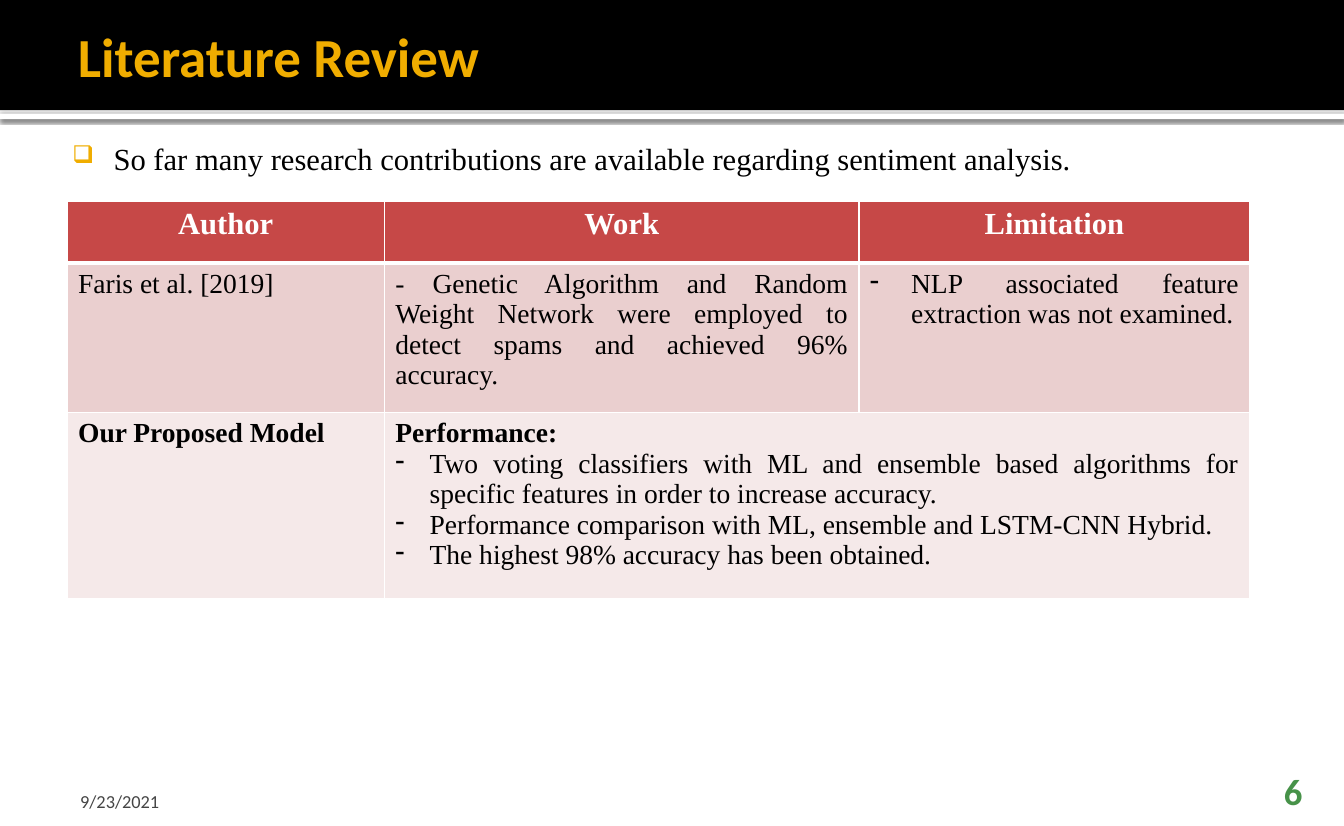
from lxml import etree
from pptx import Presentation
from pptx import util as u
from pptx.dml.color import RGBColor
from pptx.enum import shapes, text
from pptx.oxml import ns

BLACK = RGBColor(0x00, 0x00, 0x00)
WHITE = RGBColor(0xFF, 0xFF, 0xFF)
AMBER = RGBColor(0xF0, 0xAD, 0x00)
GREY = RGBColor(0x45, 0x45, 0x45)
GREEN = RGBColor(0x47, 0x92, 0x49)
RED = RGBColor(0xC6, 0x48, 0x47)
PINK = RGBColor(0xEA, 0xCF, 0xCF)
PALE = RGBColor(0xF5, 0xE9, 0xE9)

SANS, SERIF = "Calibri", "Times New Roman"
LEFT, CENTER, RIGHT, JUSTIFY = (
    text.PP_ALIGN.LEFT, text.PP_ALIGN.CENTER, text.PP_ALIGN.RIGHT, text.PP_ALIGN.JUSTIFY)
TOP, MIDDLE, BOTTOM = (
    text.MSO_ANCHOR.TOP, text.MSO_ANCHOR.MIDDLE, text.MSO_ANCHOR.BOTTOM)
WIDTH, HEIGHT = 31.01, 19.05


def add_xml(parent, tag, **attrs):
    return etree.SubElement(parent, ns.qn(tag), {k: str(v) for k, v in attrs.items()})


def add_color(parent, color):
    return add_xml(parent, "a:srgbClr", val=color)


class SlideBuilder:
    def __init__(self, slide):
        self.s = slide
        self.body = dict(name=SERIF, size=u.Pt(18), bold=False)

    def bar(self, top, height, color):
        """Draw a plain bar across the whole slide."""
        sp = self.s.shapes.add_shape(
            shapes.MSO_SHAPE.RECTANGLE, 0, u.Cm(top), u.Cm(WIDTH), u.Cm(height))
        sp.shadow.inherit = False
        sp.fill.solid()
        sp.fill.fore_color.rgb = color
        sp.line.fill.background()
        return sp

    def drop_shadow(self, sp):
        effects = sp._element.spPr.find(ns.qn("a:effectLst"))
        shadow = add_xml(effects, "a:outerShdw", blurRad=u.Pt(2.5), dist=u.Pt(0.8),
                         dir=90 * 60000, algn="tl", rotWithShape=0)
        add_xml(add_color(shadow, BLACK), "a:alpha", val=60000)

    def paragraph(self, p, words, align=LEFT, color=BLACK, bullet=None, **font):
        p.alignment = align
        r = p.add_run()
        r.text = words
        for key, value in {**self.body, **font}.items():
            setattr(r.font, key, value)
        r.font.color.rgb = color
        if bullet:
            self.bullet(p, **bullet)

    def bullet(self, p, char, indent, color=None, percent=None):
        pPr = p._p.get_or_add_pPr()
        pPr.set("marL", str(u.Cm(indent)))
        pPr.set("indent", str(-u.Cm(indent)))
        if color is not None:
            add_color(add_xml(pPr, "a:buClr"), color)
        if percent:
            add_xml(pPr, "a:buSzPct", val=percent * 1000)
        add_xml(pPr, "a:buChar", char=char)

    def textbox(self, box, words, margins, anchor=TOP, **style):
        tf = self.s.shapes.add_textbox(*map(u.Cm, box)).text_frame
        tf.word_wrap = True
        tf.vertical_anchor = anchor
        for side, margin in zip(("left", "top", "right", "bottom"), margins):
            setattr(tf, f"margin_{side}", u.Cm(margin))
        self.paragraph(tf.paragraphs[0], words, **style)

    def cell(self, cell, fill, paragraphs, bottom=1):
        """Fill one cell; each paragraph is a dict of words and style."""
        tcPr = cell._tc.get_or_add_tcPr()
        for side, width in dict(L=1, R=1, T=1, B=bottom).items():
            ln = add_xml(tcPr, f"a:ln{side}", w=u.Pt(width))
            add_color(add_xml(ln, "a:solidFill"), WHITE)
        cell.fill.solid()
        cell.fill.fore_color.rgb = fill
        tf = cell.text_frame
        for i, item in enumerate(paragraphs):
            p = tf.add_paragraph() if i else tf.paragraphs[0]
            self.paragraph(p, **{"align": JUSTIFY, **item})

    def table(self, left, top, widths, heights):
        table = self.s.shapes.add_table(
            len(heights), len(widths), u.Cm(left), u.Cm(top),
            u.Cm(sum(widths)), u.Cm(sum(heights))).table
        for column, width in zip(table.columns, widths):
            column.width = u.Cm(width)
        for row, height in zip(table.rows, heights):
            row.height = u.Cm(height)
        return table


def review_table(b):
    table = b.table(1.55, 4.65, (7.32, 10.95, 9.02), (1.42, 3.45, 4.29))
    heading = dict(align=CENTER, color=WHITE, size=u.Pt(20), bold=True)
    limit = dict(char="-", indent=0.95)
    point = dict(char="-", indent=0.79)
    results = (
        "Two voting classifiers with ML and ensemble based algorithms for specific "
        "features in order to increase accuracy.",
        "Performance comparison with ML, ensemble and LSTM-CNN Hybrid.",
        "The highest 98% accuracy has been obtained.",
    )
    rows = (
        (RED, 3, [[dict(words=w, **heading)] for w in ("Author", "Work", "Limitation")]),
        (PINK, 1, [
            [dict(words="Faris et al. [2019]")],
            [dict(words="- Genetic Algorithm and Random Weight Network were employed "
                        "to detect spams and achieved 96% accuracy.")],
            [dict(words="NLP associated feature extraction was not examined.",
                  bullet=limit)],
        ]),
        (PALE, 1, [
            [dict(words="Our Proposed Model", bold=True)],
            [dict(words="Performance:", bold=True)]
            + [dict(words=w, bullet=point) for w in results],
            [],
        ]),
    )
    for i, (fill, bottom, cells) in enumerate(rows):
        for j, paragraphs in enumerate(cells):
            b.cell(table.cell(i, j), fill, paragraphs, bottom)
    table.cell(2, 1).merge(table.cell(2, 2))


def main():
    prs = Presentation()
    prs.slide_width, prs.slide_height = u.Cm(WIDTH), u.Cm(HEIGHT)
    b = SlideBuilder(prs.slides.add_slide(prs.slide_layouts[6]))

    b.drop_shadow(b.bar(2.62, 0.13, WHITE))
    b.bar(0, 2.54, BLACK)
    b.textbox((1.55, 0.33, 27.91, 1.9), "Literature Review", (0.25, 0.13, 0.13, 0.13),
              MIDDLE, name=SANS, size=u.Pt(36), color=AMBER, bold=True)
    b.textbox((1.42, 2.97, 29.26, 1.5),
              "So far many research contributions are available regarding sentiment analysis.",
              (0.25, 0.25, 0.25, 0.13), align=JUSTIFY, size=u.Pt(20),
              bullet=dict(char="❑", indent=0.95, color=AMBER, percent=80))
    review_table(b)
    b.textbox((1.55, 17.98, 7.24, 0.76), "9/23/2021", (0.3, 0.13, 0.13, 0), BOTTOM,
              name=SANS, size=u.Pt(12), color=GREY)
    b.textbox((27.81, 17.98, 2.49, 0.76), "6", (0.25, 0.13, 0.25, 0), BOTTOM,
              align=RIGHT, name=SANS, size=u.Pt(24), color=GREEN, bold=True)
    prs.save("out.pptx")


if __name__ == "__main__":
    main()
